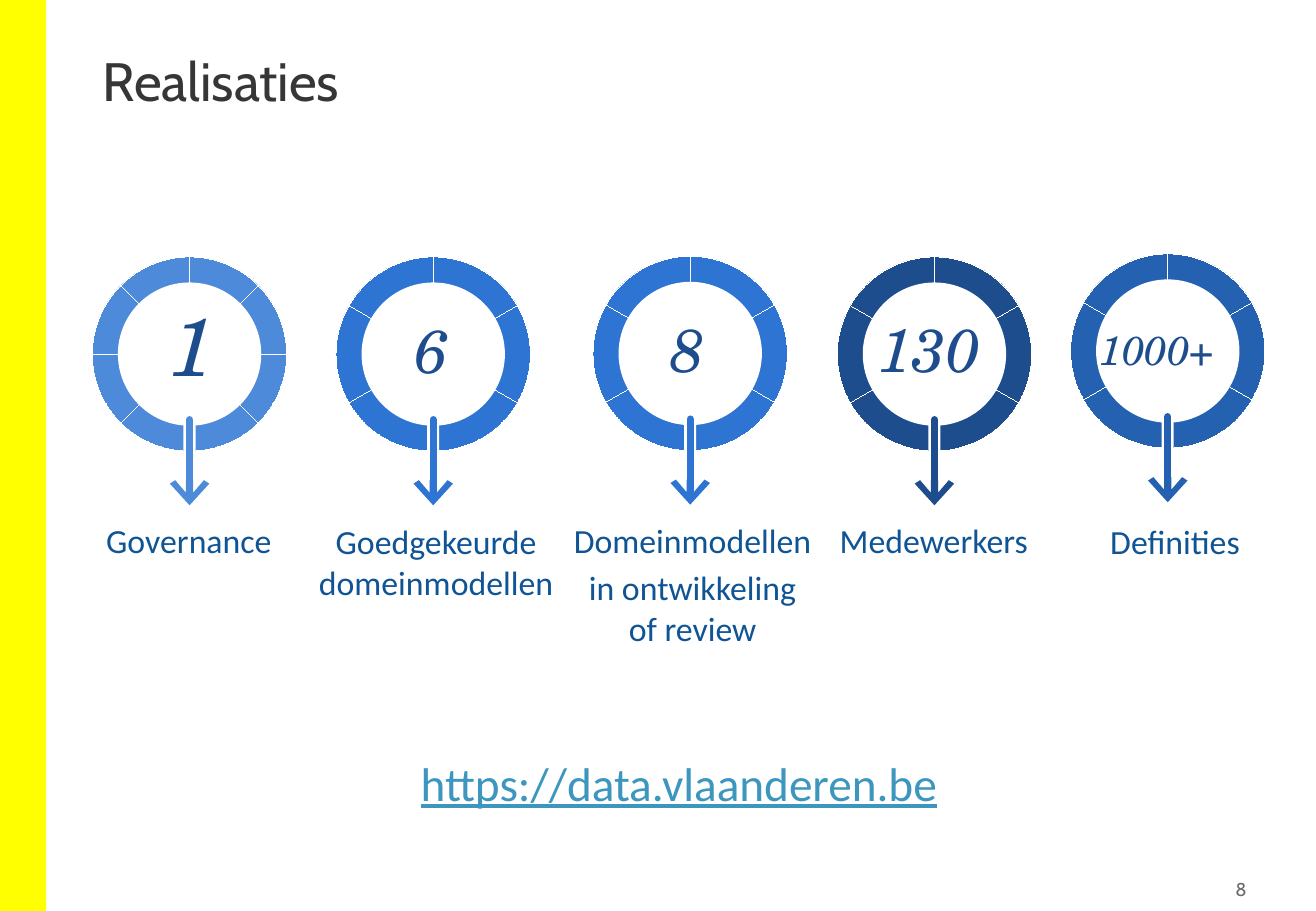
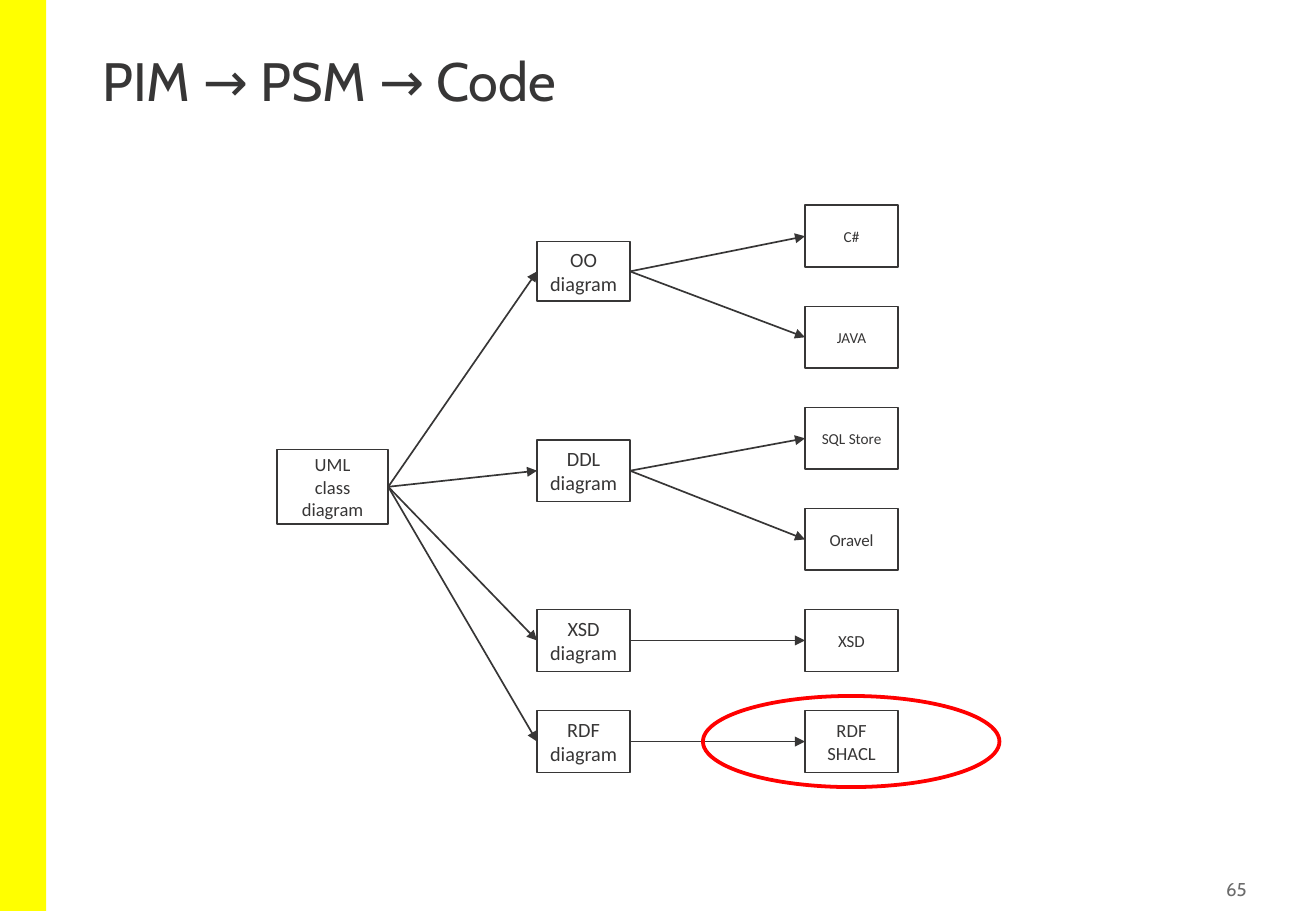
import math
from dataclasses import dataclass

import lxml.etree
import pptx
import pptx.dml.color
import pptx.enum.shapes
import pptx.enum.text
import pptx.oxml.ns
import pptx.shapes.autoshape
import pptx.shapes.connector
import pptx.slide
import pptx.util

COLUMNS, ROWS = 108.3, 75
INK, GREY, WHITE, YELLOW, RED = "373636", "6B6B6B", "FFFFFF", "FFFF00", "FF0000"
LABEL_BLUE, NUMBER_BLUE, LINK_BLUE = "0F5494", "1D4D8D", "3C96BE"
HEADING_FONT, BODY_FONT, NUMBER_FONT = "Cabin", "Calibri", "TeX Gyre Schola"
RADIUS, HOLE_RADIUS = 8, 5.9
HAIRLINE = 0.01
CODE_TOP, ROW_PITCH = 16.9, 8.32
SHAPES = pptx.enum.shapes.MSO_SHAPE
ALIGN = pptx.enum.text.PP_ALIGN
ANCHOR = pptx.enum.text.MSO_ANCHOR


@dataclass(frozen=True)
class Area:
    left: float
    top: float
    width: float
    height: float

    def lengths(self) -> tuple[int, int, int, int]:
        return grid(self.left), grid(self.top), grid(self.width), grid(self.height)


@dataclass(frozen=True)
class Style:
    size: float
    color: str = INK
    font: str = BODY_FONT
    align: ALIGN = ALIGN.CENTER
    line_spacing: float = 1
    italic: bool = False
    underline: bool = False


@dataclass(frozen=True)
class Ring:
    x: float
    y: float
    wedges: int
    color: str
    number: str
    number_area: Area
    number_size: float
    label: str
    label_area: Area


@dataclass(frozen=True)
class Code:
    text: str
    size: float


@dataclass(frozen=True)
class Diagram:
    text: str
    row: float
    height: float
    codes: tuple[Code, ...]


RINGS = (
    Ring(15.6, 29.15, 8, "4E8ADA", "1", Area(13.95, 24.35, 3.3, 8.1), 48,
         "Governance", Area(5.8, 42.3, 19.5, 5.5)),
    Ring(35.65, 29.15, 6, "2D74D3", "6", Area(34.1, 25.75, 2.9, 6.1), 36,
         "Goedgekeurde domeinmodellen", Area(25.1, 42.4, 21.6, 5.5)),
    Ring(56.8, 29.1, 6, "2D74D3", "8", Area(55.2, 25.7, 3, 6.1), 36,
         "Domeinmodellen\nin ontwikkeling of review", Area(46.2, 42.3, 21.6, 5.5)),
    Ring(76.9, 29.15, 6, "1D4D8D", "130", Area(72.3, 25.65, 9.2, 6.1), 36,
         "Medewerkers", Area(67.1, 42.3, 19.5, 5.5)),
    Ring(96.1, 28.9, 6, "2561B1", "1000+", Area(90.5, 26.8, 11.1, 4), 24,
         "Definities", Area(86.95, 42.4, 19.5, 5.5)),
)

DIAGRAMS = (
    Diagram("OO\ndiagram", 0.36, 4.9, (Code("C#", 9), Code("JAVA", 9))),
    Diagram("DDL\ndiagram", 2.32, 5.1, (Code("SQL Store", 9), Code("Oravel", 10))),
    Diagram("XSD\ndiagram", 4, 5.1, (Code("XSD", 10),)),
    Diagram("RDF\ndiagram", 5, 5.1, (Code("RDF\nSHACL", 11),)),
)


def grid(units: float) -> int:
    return pptx.util.Inches(units / 10)


def rgb(value: str) -> pptx.dml.color.RGBColor:
    return pptx.dml.color.RGBColor.from_string(value)


def write(box: pptx.shapes.autoshape.Shape, text: str, style: Style) -> None:
    frame = box.text_frame
    frame.text = text
    for index, paragraph in enumerate(frame.paragraphs):
        paragraph.alignment = style.align
        paragraph.line_spacing = style.line_spacing
        if index and style.color == LABEL_BLUE:
            paragraph.space_before = pptx.util.Pt(style.size * 0.2)
        for span in paragraph.runs:
            span.font.name = style.font
            span.font.size = pptx.util.Pt(style.size)
            span.font.color.rgb = rgb(style.color)
            span.font.italic = style.italic
            span.font.underline = style.underline


def add_text(page: pptx.slide.Slide, area: Area, text: str, style: Style,
             wrap: bool = True, inset: float | None = None,
             grow: bool = False) -> pptx.shapes.autoshape.Shape:
    box = page.shapes.add_textbox(*area.lengths())
    frame = box.text_frame
    frame.word_wrap = wrap
    if grow:
        frame.auto_size = pptx.enum.text.MSO_AUTO_SIZE.SHAPE_TO_FIT_TEXT
    if inset is not None:
        frame.margin_left = frame.margin_right = grid(inset)
        frame.margin_top = frame.margin_bottom = grid(inset)
    write(box, text, style)
    return box


def paint(shape: pptx.shapes.autoshape.Shape, fill: str | None = None,
          line: str | None = None, weight: float = HAIRLINE) -> None:
    shape.shadow.inherit = False
    if fill:
        shape.fill.solid()
        shape.fill.fore_color.rgb = rgb(fill)
    else:
        shape.fill.background()
    if line:
        shape.line.color.rgb = rgb(line)
        shape.line.width = pptx.util.Pt(weight)
    else:
        shape.line.fill.background()


def add_shape(page: pptx.slide.Slide, kind: SHAPES, area: Area, fill: str | None = None,
              line: str | None = None,
              weight: float = HAIRLINE) -> pptx.shapes.autoshape.Shape:
    shape = page.shapes.add_shape(kind, *area.lengths())
    paint(shape, fill, line, weight)
    return shape


def add_arrow(page: pptx.slide.Slide, start: tuple[float, float], end: tuple[float, float],
              color: str, weight: float, head: str, head_width: str = "med",
              cap: str = "flat") -> pptx.shapes.connector.Connector:
    arrow = page.shapes.add_connector(
        pptx.enum.shapes.MSO_CONNECTOR.STRAIGHT, *map(grid, start + end))
    arrow.line.color.rgb = rgb(color)
    arrow.line.width = pptx.util.Pt(weight)
    properties = arrow.element.spPr
    outline = properties.find(pptx.oxml.ns.qn("a:ln"))
    outline.set("cap", cap)
    lxml.etree.SubElement(outline, pptx.oxml.ns.qn("a:tailEnd"),
                          type=head, w=head_width, len="med")
    lxml.etree.SubElement(properties, pptx.oxml.ns.qn("a:effectLst"))
    return arrow


def add_page(deck: pptx.presentation.Presentation, title: str, number: str) -> pptx.slide.Slide:
    page = deck.slides.add_slide(deck.slide_layouts[6])
    add_shape(page, SHAPES.RECTANGLE, Area(0, 0, 3.8, ROWS), YELLOW)
    add_text(page, Area(7.45, 4, 93.4, 10.8), title,
             Style(32, font=HEADING_FONT, align=ALIGN.LEFT, line_spacing=0.9))
    box = add_text(page, Area(95, 71.75, 8.1, 2.9), number,
                   Style(11, GREY, HEADING_FONT, ALIGN.RIGHT), inset=0.5, grow=True)
    box.text_frame.vertical_anchor = ANCHOR.MIDDLE
    return page


def add_wedge(page: pptx.slide.Slide, ring: Ring, index: int) -> None:
    sweep = math.tau / ring.wedges
    handle = 4 / 3 * math.tan(sweep / 4)
    reach, lean = RADIUS * math.hypot(1, handle), math.atan(handle)
    first, last = sweep * index, sweep * (index + 1)
    polar = ((RADIUS, first), (reach, first + lean), (reach, last - lean), (RADIUS, last))
    rim = [(grid(ring.x + length * math.sin(angle)), grid(ring.y - length * math.cos(angle)))
           for length, angle in polar]
    builder = page.shapes.build_freeform(grid(ring.x), grid(ring.y))
    builder.add_line_segments(rim, close=True)
    wedge = builder.convert_to_shape()
    bends = list(wedge.element.iter(pptx.oxml.ns.qn("a:lnTo")))[1:4]
    curve = lxml.etree.Element(pptx.oxml.ns.qn("a:cubicBezTo"))
    bends[0].addprevious(curve)
    for bend in bends:
        curve.append(bend[0])
        bend.getparent().remove(bend)
    paint(wedge, ring.color, WHITE)


def add_ring(page: pptx.slide.Slide, ring: Ring) -> None:
    for index in range(ring.wedges):
        add_wedge(page, ring, index)
    hole = Area(ring.x - HOLE_RADIUS, ring.y - HOLE_RADIUS, 2 * HOLE_RADIUS, 2 * HOLE_RADIUS)
    add_shape(page, SHAPES.OVAL, hole, WHITE)
    add_shape(page, SHAPES.RECTANGLE, Area(ring.x - 0.5, ring.y + 5.7, 1, 2.8), WHITE)
    add_arrow(page, (ring.x, ring.y + 5.4), (ring.x, ring.y + 12.45),
              ring.color, 4.25, "arrow", "lg", "rnd")
    add_text(page, ring.number_area, ring.number,
             Style(ring.number_size, NUMBER_BLUE, NUMBER_FONT, ALIGN.LEFT, italic=True),
             wrap=False, inset=0, grow=True)
    add_text(page, ring.label_area, ring.label, Style(20, LABEL_BLUE))


def add_node(page: pptx.slide.Slide, area: Area, text: str,
             size: float) -> pptx.shapes.autoshape.Shape:
    node = add_shape(page, SHAPES.RECTANGLE, area, line=INK, weight=1)
    node.text_frame.word_wrap = True
    node.text_frame.vertical_anchor = ANCHOR.MIDDLE
    write(node, text, Style(size))
    return node


def join(page: pptx.slide.Slide, source: pptx.shapes.autoshape.Shape,
         target: pptx.shapes.autoshape.Shape) -> None:
    arrow = add_arrow(page, (0, 0), (1, 1), INK, 1, "triangle")
    arrow.begin_connect(source, 3)
    arrow.end_connect(target, 1)


def build_results(deck: pptx.presentation.Presentation) -> None:
    page = add_page(deck, "Realisaties", "8")
    for ring in RINGS:
        add_ring(page, ring)
    add_text(page, Area(33.3, 59.25, 45.1, 7.3), "https://data.vlaanderen.be",
             Style(28, LINK_BLUE, line_spacing=1.5, underline=True), wrap=False, grow=True)


def build_models(deck: pptx.presentation.Presentation) -> None:
    page = add_page(deck, "PIM → PSM → Code", "65")
    root = add_node(page, Area(22.8, 37, 9.15, 6.15), "UML\nclass diagram", 11)
    code_row = 0
    for diagram in DIAGRAMS:
        top = CODE_TOP + diagram.row * ROW_PITCH
        node = add_node(page, Area(44.2, top, 7.65, diagram.height), diagram.text, 12)
        join(page, root, node)
        for code in diagram.codes:
            code_area = Area(66.25, CODE_TOP + code_row * ROW_PITCH, 7.65, 5.1)
            join(page, node, add_node(page, code_area, code.text, code.size))
            code_row += 1
    add_shape(page, SHAPES.OVAL, Area(57.85, 57.3, 24.4, 7.5), line=RED, weight=2.25)


def main() -> None:
    deck = pptx.Presentation()
    deck.slide_width = grid(COLUMNS)
    deck.slide_height = grid(ROWS)
    build_results(deck)
    build_models(deck)
    deck.save("out.pptx")


if __name__ == "__main__":
    main()
